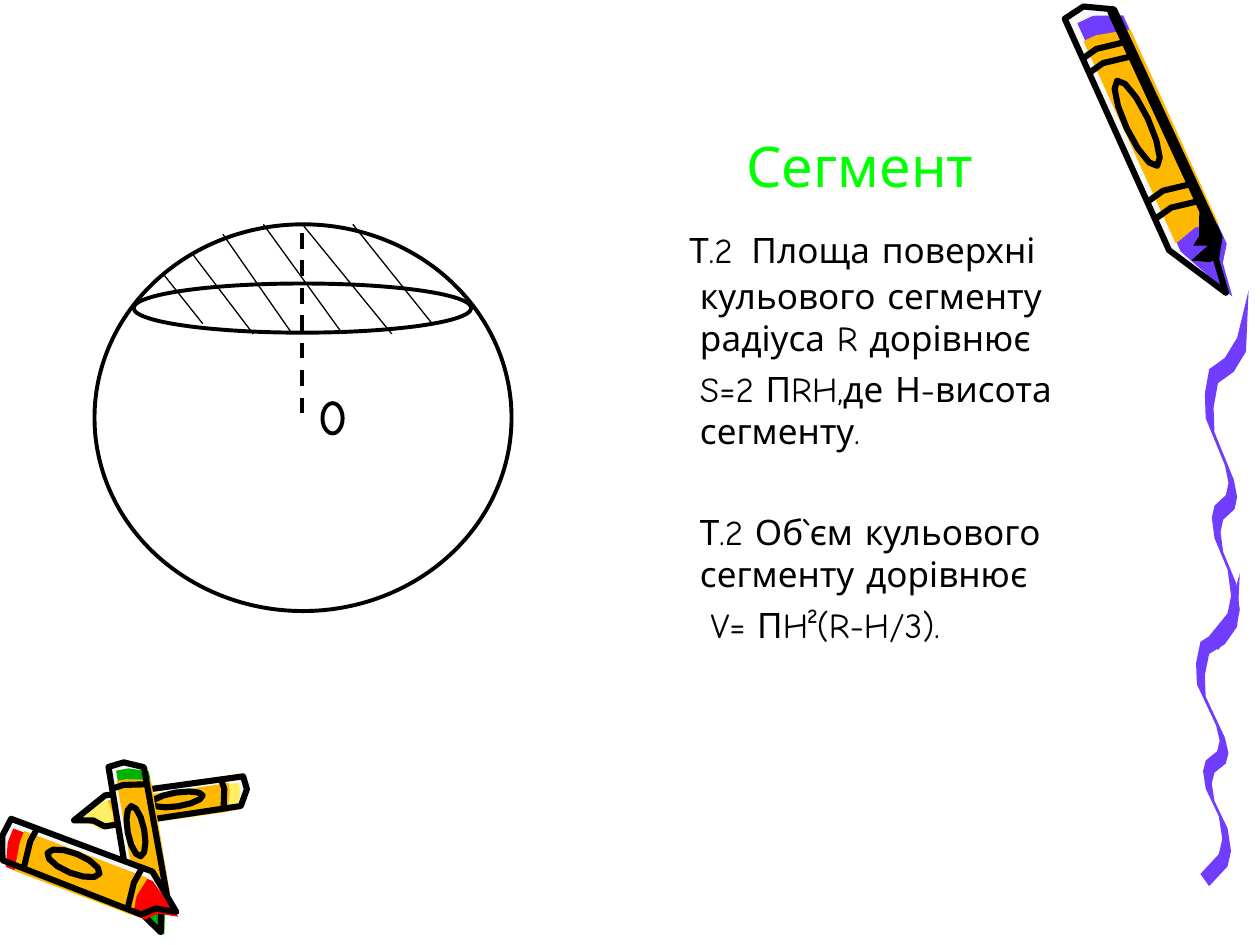
from math import cos, hypot, pi, sin
from typing import NamedTuple

from lxml.etree import SubElement
from pptx import Presentation
from pptx.dml.color import RGBColor
from pptx.enum.dml import MSO_LINE
from pptx.enum.shapes import MSO_CONNECTOR, MSO_SHAPE
from pptx.enum.text import MSO_ANCHOR, PP_ALIGN
from pptx.oxml.ns import qn
from pptx.util import Pt

BLACK = RGBColor(0x00, 0x00, 0x00)
PURPLE = RGBColor(0x70, 0x3D, 0xFF)
ORANGE = RGBColor(0xFF, 0xB8, 0x00)
PAPER = RGBColor(0xF8, 0xF8, 0xF8)
YELLOW = RGBColor(0xFF, 0xEF, 0x66)
RED = RGBColor(0xFF, 0x00, 0x00)
GREEN = RGBColor(0x00, 0xB2, 0x00)
HEADING_GREEN = RGBColor(0x00, 0xFF, 0x00)
FONT = "Comic Neue"

Point = tuple[float, float]


class Crayon(NamedTuple):
    tail: Point
    tip: Point
    width: float  # negative mirrors the crayon about its axis
    wax: RGBColor
    bands: tuple[float, ...]  # positions along the axis, 0 tail to 1 tip
    shaded: bool = False


class Oval(NamedTuple):
    left: float
    top: float
    width: float
    height: float


class Stroke(NamedTuple):
    x1: float
    y1: float
    x2: float
    y2: float
    weight: float = 0.75
    dash: MSO_LINE | None = None


class TextRun(NamedTuple):
    text: str
    size: float = 20


class Statement(NamedTuple):
    runs: list[TextRun]
    first_indent: float = 0
    space_before: float = 5


# One crayon design serves all: (share of length along, share of width across).
SILHOUETTE = [(-0.02, 0.42), (-0.03, 0), (0.02, -0.5), (0.82, -0.47),
              (0.88, -0.23), (0.99, -0.13), (0.79, 0.5)]
WAX_BODY = [(0.01, 0.24), (0.81, 0.31), (1.01, -0.21), (0.9, -0.32),
            (0.85, -0.54), (0.05, -0.61), (0.01, -0.09)]
WRAPPER = [(0.07, 0.28), (0.78, 0.33), (0.76, -0.13), (0.78, -0.56), (0.1, -0.62), (0.07, 0.02)]
SHADE = [(0.02, -0.5), (0.02, -0.36), (0.72, -0.33), (0.79, -0.13), (0.81, 0.05), (0.83, -0.2),
         (0.85, 0.2), (0.88, -0.1), (0.88, -0.23), (0.82, -0.47)]
BAND = [(0.01, 0.45), (0, 0.12), (0.02, -0.45)]
LABEL = [(0.38 + 0.15 * cos(k * pi / 6), 0.02 + 0.22 * sin(k * pi / 6)) for k in range(12)]
INK_WEIGHT = 3.5

BIG_CRAYON = Crayon((621.4, 8.6), (697.7, 170.6), 30.2, PURPLE, (0.11, 0.16, 0.61, 0.67), True)
CRAYON_TRIO = [
    Crayon((138.2, 451.4), (41, 466.6), 18, YELLOW, (0.1,)),
    Crayon((71.3, 438.5), (89.3, 534.2), 21.6, GREEN, (0.1,)),
    Crayon((4.3, 478.8), (103, 518.4), -25.9, RED, (0.12, 0.72)),
]

# The squiggle is a wavy edge swept along a short pen offset.
WAVY_EDGE = [(713.5, 166), (707, 193), (700, 204.5), (691, 211), (688.5, 225), (689, 239),
             (700, 266), (702, 276), (700.5, 283), (694, 289), (692.5, 296), (694, 307.5),
             (701.5, 325.5), (703.5, 340.5), (701.5, 350.5), (691, 363.5)]
PEN_X, PEN_Y = 5, 8
UPPER_TOP, LOWER_TOP = 166, 327.6
LOWER_SHIFT, LOWER_SCALE = -5, 0.87

SPHERE = Oval(54, 128.2, 238.3, 221)
CENTRE_MARK = Oval(184.3, 230.4, 11.5, 17.3)
SECTION = Oval(76.3, 162, 193, 28.1)
AXIS = Stroke(172.8, 236.2, 172.8, 128.2, 2.25, MSO_LINE.DASH)
HATCHING = [
    Stroke(93.6, 157, 115.9, 185),
    Stroke(110.2, 145.4, 144.7, 190.8),
    Stroke(127.4, 133.9, 167, 190.8),
    Stroke(150.5, 128.2, 195.8, 190.8),
    Stroke(172.8, 128.2, 223.9, 190.8),
    Stroke(201.6, 128.2, 247, 185),
]

STATEMENTS = [
    Statement([TextRun("Т.2"), TextRun(" ", 32),
               TextRun("Площа поверхні кульового сегменту радіуса R дорівнює")], -6, 0),
    Statement([TextRun("S=2 ΠRH,де Н-висота сегменту.")]),
    Statement([TextRun("Т.2 Об`єм кульового сегменту дорівнює")], space_before=34),
    Statement([TextRun("V= ΠH²(R-H/3).")], 6),
]


def draw_outline(shapes, points: list[Point], fill: RGBColor | None = None,
                 ink_weight: float = 0, close: bool = True) -> None:
    corners = [(Pt(x), Pt(y)) for x, y in points]
    builder = shapes.build_freeform(*corners[0])
    builder.add_line_segments(corners[1:], close=close)
    outline = builder.convert_to_shape()
    outline.shadow.inherit = False
    if fill is None:
        outline.fill.background()
    else:
        outline.fill.solid()
        outline.fill.fore_color.rgb = fill
    if ink_weight:
        outline.line.color.rgb = BLACK
        outline.line.width = Pt(ink_weight)
    else:
        outline.line.fill.background()


def place_on_crayon(crayon: Crayon, design: list[Point]) -> list[Point]:
    """Turn (along, across) shares into slide points."""
    (x0, y0), (x1, y1) = crayon.tail, crayon.tip
    dx, dy = x1 - x0, y1 - y0
    side = crayon.width / hypot(dx, dy)
    return [(x0 + along * dx - across * side * dy, y0 + along * dy + across * side * dx)
            for along, across in design]


def draw_crayon(shapes, crayon: Crayon) -> None:
    for part, color in ((SILHOUETTE, PAPER), (WAX_BODY, crayon.wax), (WRAPPER, ORANGE)):
        draw_outline(shapes, place_on_crayon(crayon, part), fill=color)
    if crayon.shaded:
        draw_outline(shapes, place_on_crayon(crayon, SHADE), fill=BLACK)
    for part in (SILHOUETTE, LABEL):
        draw_outline(shapes, place_on_crayon(crayon, part), ink_weight=INK_WEIGHT)
    for position in crayon.bands:
        band = [(position + along, across) for along, across in BAND]
        draw_outline(shapes, place_on_crayon(crayon, band), ink_weight=INK_WEIGHT, close=False)


def draw_squiggles(shapes) -> None:
    far_edge = [(x + PEN_X, y + PEN_Y) for x, y in WAVY_EDGE[1:]]
    upper = WAVY_EDGE + far_edge[::-1]
    lower = [(x + LOWER_SHIFT, LOWER_TOP + (y - UPPER_TOP) * LOWER_SCALE) for x, y in upper]
    for ribbon in (lower, upper):
        draw_outline(shapes, ribbon, fill=PURPLE)


def draw_stroke(shapes, stroke: Stroke) -> None:
    ends = [Pt(n) for n in stroke[:4]]
    connector = shapes.add_connector(MSO_CONNECTOR.STRAIGHT, *ends)
    connector.line.color.rgb = BLACK
    connector.line.width = Pt(stroke.weight)
    if stroke.dash is not None:
        connector.line.dash_style = stroke.dash
    SubElement(connector.element.spPr, qn("a:effectLst"))


def draw_oval(shapes, oval: Oval) -> None:
    ellipse = shapes.add_shape(MSO_SHAPE.OVAL, *[Pt(n) for n in oval])
    ellipse.shadow.inherit = False
    ellipse.fill.background()
    ellipse.line.color.rgb = BLACK
    ellipse.line.width = Pt(2.25)


def prepare_frame(frame) -> None:
    frame.word_wrap = True
    frame.vertical_anchor = MSO_ANCHOR.TOP
    frame.margin_left = frame.margin_right = frame.margin_top = frame.margin_bottom = 0


def add_run(paragraph, text: str, size: float, color: RGBColor) -> None:
    run = paragraph.add_run()
    run.text = text
    run.font.name = FONT
    run.font.size = Pt(size)
    run.font.color.rgb = color


def write_heading(title) -> None:
    title.left, title.top, title.width, title.height = Pt(426.5), Pt(73.7), Pt(220), Pt(44)
    prepare_frame(title.text_frame)
    paragraph = title.text_frame.paragraphs[0]
    paragraph.alignment = PP_ALIGN.LEFT
    paragraph.line_spacing = Pt(40)
    add_run(paragraph, "Сегмент", 32, HEADING_GREEN)


def write_statements(shapes) -> None:
    frame = shapes.add_textbox(Pt(373), Pt(132.9), Pt(274), Pt(245)).text_frame
    prepare_frame(frame)
    for index, statement in enumerate(STATEMENTS):
        paragraph = frame.add_paragraph() if index else frame.paragraphs[0]
        paragraph.line_spacing = Pt(24)
        paragraph.space_before = Pt(statement.space_before)
        properties = paragraph._p.get_or_add_pPr()
        properties.set("marL", str(Pt(27)))
        properties.set("indent", str(Pt(statement.first_indent)))
        for text, size in statement.runs:
            add_run(paragraph, text, size, BLACK)


def main() -> None:
    deck = Presentation()
    deck.slide_width, deck.slide_height = Pt(720), Pt(540)
    shapes = deck.slides.add_slide(deck.slide_layouts[5]).shapes
    for crayon in (BIG_CRAYON, *CRAYON_TRIO):
        draw_crayon(shapes.add_group_shape().shapes, crayon)
    draw_squiggles(shapes.add_group_shape().shapes)
    write_heading(shapes.title)
    write_statements(shapes)
    draw_oval(shapes, SPHERE)
    draw_stroke(shapes, AXIS)
    for oval in (CENTRE_MARK, SECTION):
        draw_oval(shapes, oval)
    for stroke in HATCHING:
        draw_stroke(shapes, stroke)
    deck.save("out.pptx")


if __name__ == "__main__":
    main()
